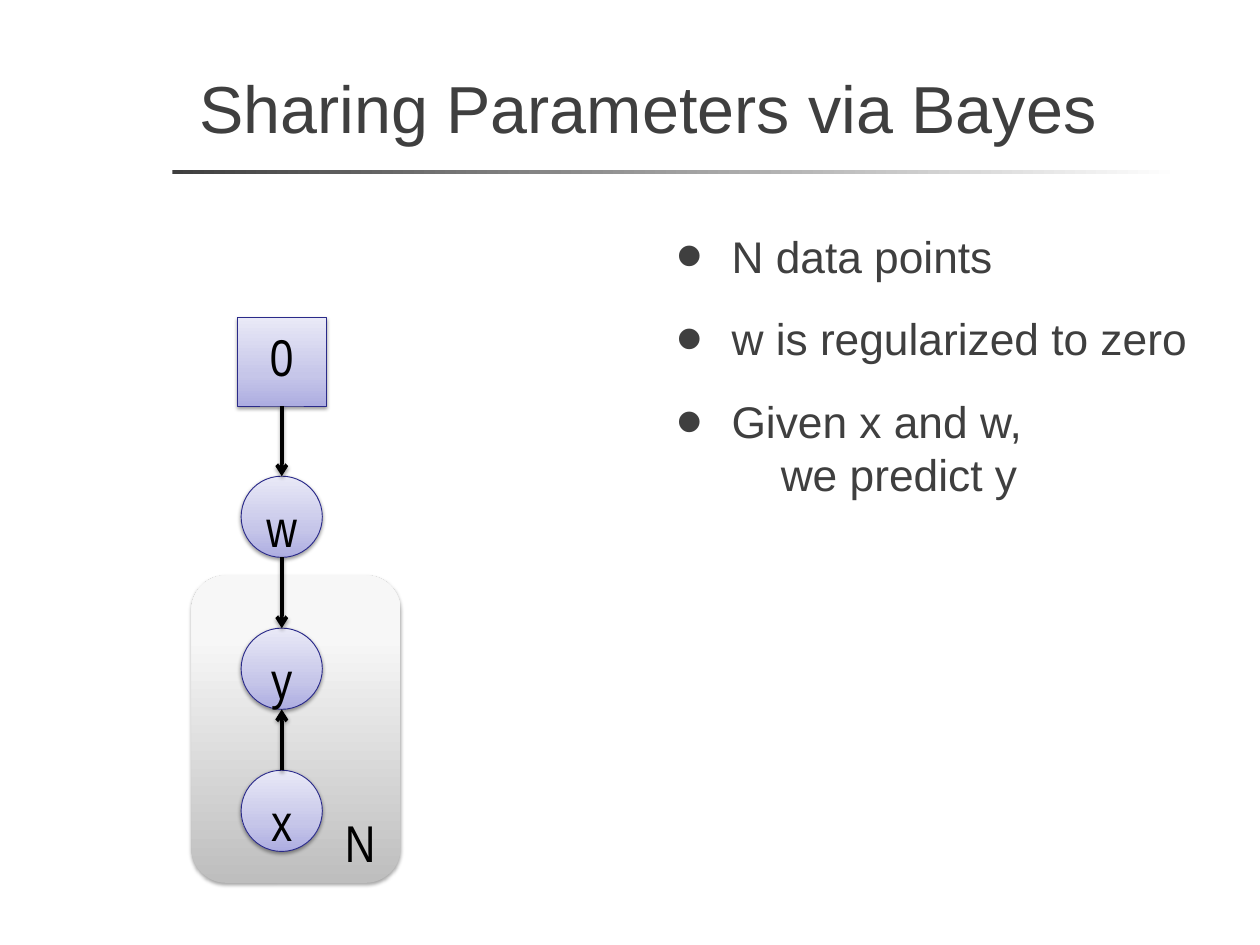
from lxml.etree import SubElement
from pptx import Presentation
from pptx.dml.color import RGBColor
from pptx.enum.shapes import MSO_CONNECTOR, MSO_SHAPE
from pptx.enum.text import MSO_ANCHOR, PP_ALIGN
from pptx.oxml.ns import qn
from pptx.util import Pt

GREY = "3F3F3F"
BLACK = "000000"
NODE_STOPS = [(0, "ADADE1"), (35, "C6C6E9"), (100, "E9E9F7")]
PLATE_STOPS = [(0, "BEBEBE"), (80, "F7F7F7"), (100, "F8F8F8")]
RULE_STOPS = [(0, GREY), (100, "FFFFFF")]

CENTER_X = 229
CIRCLE = 66
SQUARE = 72
ZERO_TOP, W_TOP, Y_TOP, X_TOP = 258, 387, 510.5, 626


def color(value):
    return RGBColor.from_string(value)


def set_gradient(shape, stops, angle):
    """Fill with (percent, colour) stops; the angle runs counter-clockwise."""
    shape.fill.gradient()
    shape.fill.gradient_angle = angle
    stop_list = shape.fill._xPr.find(qn("a:gradFill")).find(qn("a:gsLst"))
    for old_stop in list(stop_list):
        stop_list.remove(old_stop)
    for percent, value in stops:
        stop = SubElement(stop_list, qn("a:gs"), pos=str(percent * 1000))
        SubElement(stop, qn("a:srgbClr"), val=value)


def add_shadow(shape, alpha, distance):
    """Cast a soft black shadow straight down."""
    effects = SubElement(shape._element.spPr, qn("a:effectLst"))
    shadow = SubElement(effects, qn("a:outerShdw"), blurRad=str(Pt(3.1)),
                        dist=str(Pt(distance)), dir="5400000", rotWithShape="0")
    tint = SubElement(shadow, qn("a:srgbClr"), val=BLACK)
    SubElement(tint, qn("a:alpha"), val=str(alpha * 1000))


def set_font(para, name, size, value):
    para.font.name = name
    para.font.size = Pt(size)
    para.font.color.rgb = color(value)


def set_frame(shape, anchor, left=0, top=0, right=0, bottom=0, wrap=True):
    frame = shape.text_frame
    frame.word_wrap = wrap
    frame.vertical_anchor = anchor
    frame.margin_left, frame.margin_top = Pt(left), Pt(top)
    frame.margin_right, frame.margin_bottom = Pt(right), Pt(bottom)
    return frame


def add_label(shape, text, align):
    para = shape.text_frame.paragraphs[0]
    para.text = text
    para.alignment = align
    set_font(para, "Arial Narrow", 42, BLACK)


def add_block(page, kind, left, top, width, height, stops, angle):
    shape = page.shapes.add_shape(kind, Pt(left), Pt(top), Pt(width), Pt(height))
    set_gradient(shape, stops, angle)
    shape.line.fill.background()
    return shape


def add_node(page, kind, text, top, size):
    node = add_block(page, kind, CENTER_X - size / 2, top, size, size, NODE_STOPS, 90)
    node.line.color.rgb = color("2A2A89")
    node.line.width = Pt(0.75)
    add_shadow(node, 38, 1.6)
    set_frame(node, MSO_ANCHOR.TOP, top=6, wrap=False)
    add_label(node, text, PP_ALIGN.CENTER)


def add_plate(page):
    plate = add_block(page, MSO_SHAPE.ROUNDED_RECTANGLE, 155.5, 467.5, 170, 250,
                      PLATE_STOPS, 90)
    add_shadow(plate, 35, 1.8)
    set_frame(plate, MSO_ANCHOR.BOTTOM, right=12)
    add_label(plate, "N", PP_ALIGN.RIGHT)


def add_arrow(page, start_y, end_y):
    arrow = page.shapes.add_connector(MSO_CONNECTOR.STRAIGHT, Pt(CENTER_X), Pt(start_y),
                                      Pt(CENTER_X), Pt(end_y))
    arrow.line.color.rgb = color(BLACK)
    arrow.line.width = Pt(3)
    SubElement(arrow._element.spPr.find(qn("a:ln")), qn("a:tailEnd"), type="arrow")
    add_shadow(arrow, 35, 1.8)


def add_title(page, text):
    box = page.shapes.add_textbox(Pt(152), Pt(36), Pt(804), Pt(102))
    frame = set_frame(box, MSO_ANCHOR.MIDDLE, 10, 5, 10, 5)
    frame.text = text
    set_font(frame.paragraphs[0], "Arial", 54, GREY)


def add_bullets(page, items):
    box = page.shapes.add_textbox(Pt(517.5), Pt(179), Pt(455), Pt(507))
    frame = set_frame(box, MSO_ANCHOR.TOP, left=7, top=7)
    for index, item in enumerate(items):
        para = frame.paragraphs[0] if index == 0 else frame.add_paragraph()
        para.text = item
        if index:
            para.space_before = Pt(24)
        properties = para._p.get_or_add_pPr()
        properties.set("marL", str(Pt(70)))
        properties.set("indent", str(Pt(-45)))
        SubElement(properties, qn("a:buSzPct"), val="171000")
        SubElement(properties, qn("a:buFont"), typeface="Arial")
        SubElement(properties, qn("a:buChar"), char="•")
        tabs = SubElement(properties, qn("a:tabLst"))
        SubElement(tabs, qn("a:tab"), pos=str(Pt(110)), algn="l")
        set_font(para, "Arial", 36, GREY)


def main():
    deck = Presentation()
    deck.slide_width, deck.slide_height = Pt(1024), Pt(768)
    page = deck.slides.add_slide(deck.slide_layouts[6])

    rule = add_block(page, MSO_SHAPE.RECTANGLE, 140, 138, 819, 3.6, RULE_STOPS, 0)
    rule.shadow.inherit = False
    add_title(page, "Sharing Parameters via Bayes")
    add_bullets(page, ["N data points", "w is regularized to zero",
                       "Given x and w,\v\twe predict y"])

    add_plate(page)
    add_node(page, MSO_SHAPE.RECTANGLE, "0", ZERO_TOP, SQUARE)
    for text, top in [("w", W_TOP), ("y", Y_TOP), ("x", X_TOP)]:
        add_node(page, MSO_SHAPE.OVAL, text, top, CIRCLE)
    add_arrow(page, ZERO_TOP + SQUARE, W_TOP)
    add_arrow(page, W_TOP + CIRCLE, Y_TOP)
    add_arrow(page, X_TOP, Y_TOP + CIRCLE)

    deck.save("out.pptx")


if __name__ == "__main__":
    main()
